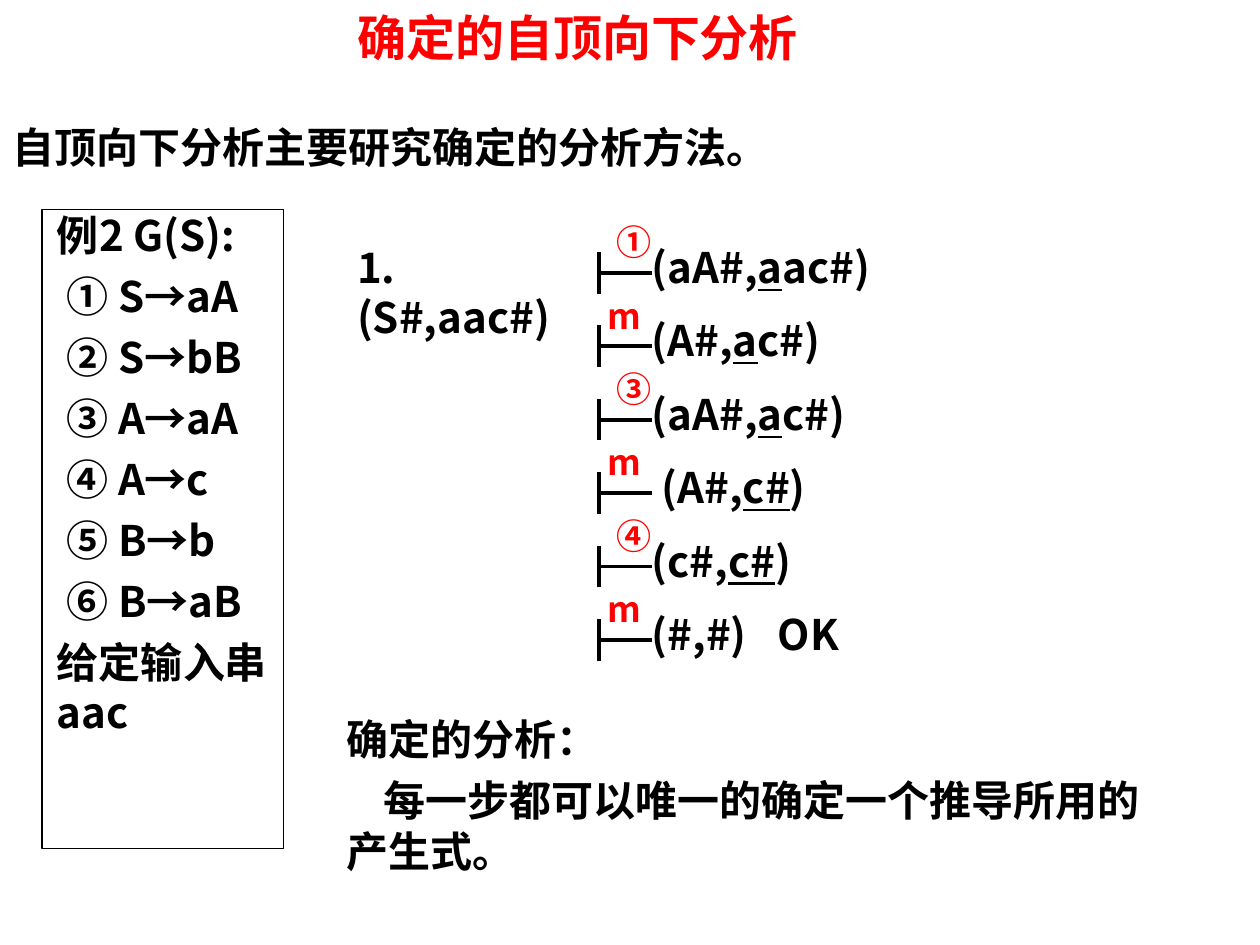
from pptx import Presentation
from pptx.util import Cm, Pt
from pptx.dml.color import RGBColor
from pptx.enum import shapes as sh, text as tx
from pptx.oxml.ns import qn
from lxml import etree

RED = RGBColor(0xFF, 0, 0)
BLACK = RGBColor(0, 0, 0)
SANS = "Noto Sans CJK SC"
SERIF = "Times New Roman"


def write(para, parts, size=24, color=BLACK, face=SANS, gap=6):
    para.space_before = Pt(gap)
    for part, under in parts:
        run = para.add_run()
        run.text = part
        font = run.font
        font.size, font.bold, font.name = Pt(size), True, face
        font.color.rgb = color
        if under:
            font.underline = True
        east = etree.SubElement(run._r.get_or_add_rPr(), qn("a:ea"))
        east.set("typeface", SANS)


def frame(shape, wrap=True, left=0):
    box = shape.text_frame
    box.word_wrap = wrap
    box.auto_size = tx.MSO_AUTO_SIZE.NONE
    box.vertical_anchor = tx.MSO_ANCHOR.TOP
    box.margin_left = Cm(left)
    box.margin_right = box.margin_top = box.margin_bottom = 0
    return box


prs = Presentation()
prs.slide_width, prs.slide_height = Cm(25.4), Cm(19.05)
slide = prs.slides.add_slide(prs.slide_layouts[1])

title = slide.shapes.title
title.left, title.top, title.width, title.height = Cm(1.06), Cm(0), Cm(21.17), Cm(1.48)
title.text_frame.auto_size = tx.MSO_AUTO_SIZE.NONE
title.text_frame.vertical_anchor = tx.MSO_ANCHOR.MIDDLE
head = title.text_frame.paragraphs[0]
head.alignment = tx.PP_ALIGN.CENTER
write(head, [("确定的自顶向下分析", False)], 28, RED, gap=0)

body = slide.placeholders[1]
body.left, body.top, body.width, body.height = Cm(0), Cm(2.33), Cm(24.98), Cm(1.27)
body.text_frame.auto_size = tx.MSO_AUTO_SIZE.NONE
lead = body.text_frame.paragraphs[0]
write(lead, [("自顶向下分析主要研究确定的分析方法", False)], face=SERIF)
write(lead, [("。", False)])
props = lead._p.get_or_add_pPr()
props.set("marL", "0")
props.set("indent", "0")
etree.SubElement(props, qn("a:buNone"))

start = slide.shapes.add_textbox(Cm(7.2), Cm(4.87), Cm(4.66), Cm(2.03))
write(frame(start).paragraphs[0], [("1.(S#,aac#)", False)])

steps = [
    ("①", "(aA#,", "a", "ac#)"),
    ("m", "(A#,", "a", "c#)"),
    ("③", "(aA#,", "a", "c#)"),
    ("m", "(A#,", "c#", ")"),
    ("④", "(c#,", "c#", ")"),
    ("m", "(#,#)\tOK", "", ""),
]
x, end = 12.07, 13.14
for i, (mark, pre, match, post) in enumerate(steps):
    y = 5.08 + 1.48 * i
    group = slide.shapes.add_group_shape()
    for x1, y1, x2, y2 in [(x, y, x, y + 0.84), (x, y + 0.42, end, y + 0.42)]:
        line = group.shapes.add_connector(
            sh.MSO_CONNECTOR.STRAIGHT, Cm(x1), Cm(y1), Cm(x2), Cm(y2))
        line.line.color.rgb = BLACK
        line.line.width = Pt(2.25)
        etree.SubElement(line._element.spPr, qn("a:effectLst"))
    shift = 0.17 if mark == "m" else 0.35
    label = group.shapes.add_textbox(Cm(x + shift), Cm(y - 0.63), Cm(0.71), Cm(0.85))
    write(frame(label, False).paragraphs[0], [(mark, False)], 20, RED, gap=0)

    left = 13.34 if i == 3 else end
    state = slide.shapes.add_textbox(Cm(left), Cm(y - 0.21), Cm(4.6), Cm(1.02))
    parts = [(pre, False), (match, True), (post, False)]
    write(frame(state).paragraphs[0], [part for part in parts if part[0]])

note = frame(slide.shapes.add_textbox(Cm(6.99), Cm(14.39), Cm(16.09), Cm(3.26)))
write(note.paragraphs[0], [("确定的分析：", False)])
para = note.add_paragraph()
write(para, [("每一步都可以唯一的确定一个推导所用的产生式。", False)])
para._p.get_or_add_pPr().set("indent", str(Cm(0.75)))

rules = slide.shapes.add_shape(
    sh.MSO_SHAPE.RECTANGLE, Cm(0.85), Cm(4.23), Cm(4.87), Cm(12.88))
rules.shadow.inherit = False
rules.fill.background()
rules.line.color.rgb = BLACK
rules.line.width = Pt(0.75)
box = frame(rules, left=0.3)
rows = ["例2 G(S):", " ① S→aA", " ② S→bB", " ③ A→aA", " ④ A→c",
        " ⑤ B→b", " ⑥ B→aB", "给定输入串aac"]
for i, row in enumerate(rows):
    para = box.add_paragraph() if i else box.paragraphs[0]
    para.alignment = tx.PP_ALIGN.LEFT
    write(para, [(row, False)], gap=6 if i else 5)

prs.save("out.pptx")
